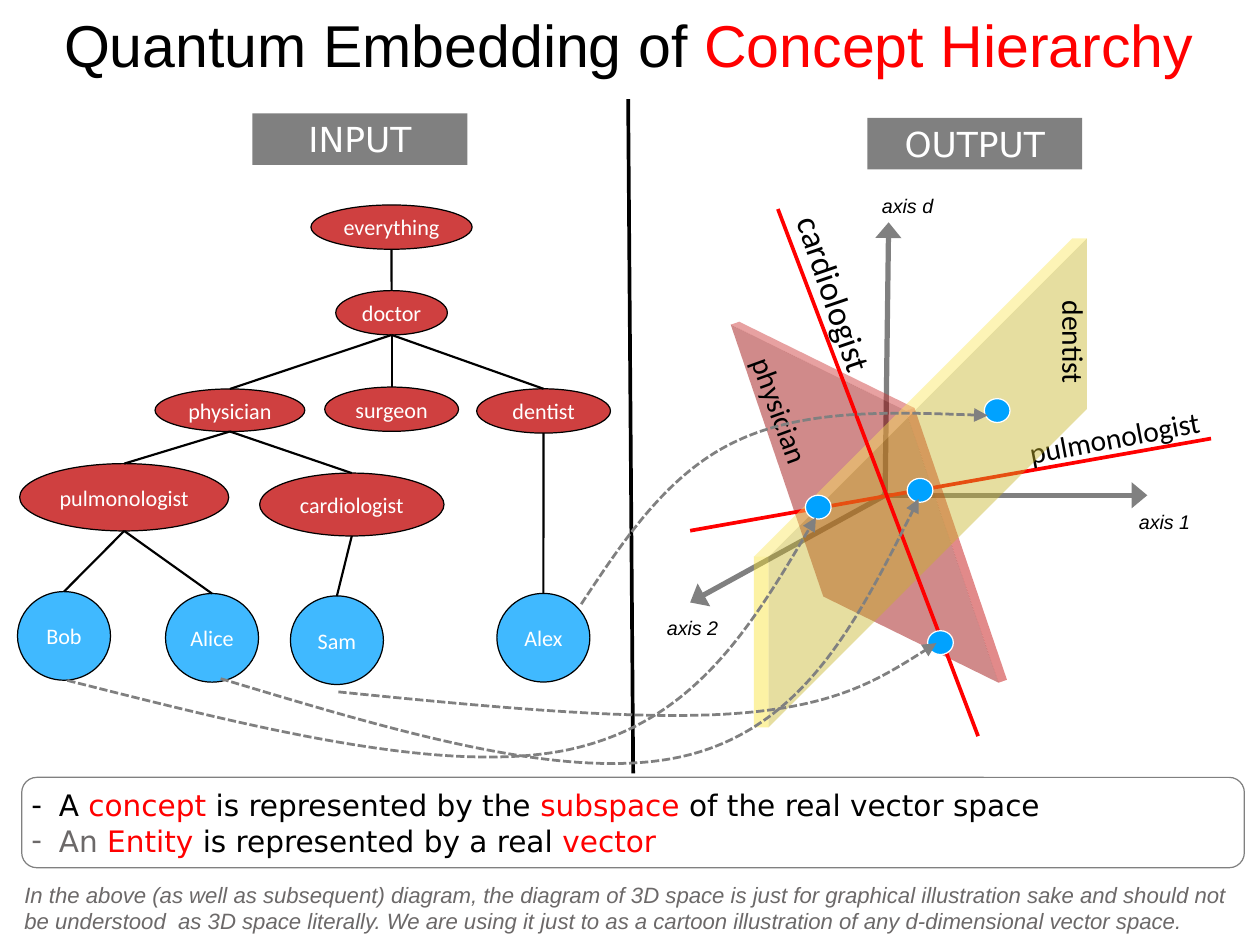
from dataclasses import dataclass
from typing import NamedTuple

from lxml import etree
from pptx import Presentation
from pptx.dml.color import RGBColor
from pptx.enum.dml import MSO_LINE
from pptx.enum.shapes import MSO_CONNECTOR, MSO_SHAPE
from pptx.enum.text import MSO_ANCHOR, MSO_AUTO_SIZE, PP_ALIGN
from pptx.oxml.ns import qn
from pptx.util import Pt

RECT, ROUND, OVAL = MSO_SHAPE.RECTANGLE, MSO_SHAPE.ROUNDED_RECTANGLE, MSO_SHAPE.OVAL
CUBE, DOT = MSO_SHAPE.CUBE, MSO_SHAPE.FLOWCHART_CONNECTOR
STRAIGHT, DASH = MSO_CONNECTOR.STRAIGHT, MSO_LINE.SQUARE_DOT
LEFT, MID = PP_ALIGN.LEFT, PP_ALIGN.CENTER
TOP, CENTER = MSO_ANCHOR.TOP, MSO_ANCHOR.MIDDLE
GROW, FIXED = MSO_AUTO_SIZE.SHAPE_TO_FIT_TEXT, MSO_AUTO_SIZE.NONE


@dataclass(frozen=True)
class Theme:
    black: str = "000000"
    white: str = "FFFFFF"
    gray: str = "808080"
    dim: str = "6C6969"
    red: str = "FF0000"
    wine: str = "C00000"
    blue: str = "00A2FF"
    gold: str = "FAE232"
    sans: str = "Arial"
    wide: str = "DejaVu Sans"
    body: str = "Calibri"
    title: float = 48
    head: float = 28
    large: float = 24
    node: float = 18
    axis: float = 16


T = Theme()


class Box(NamedTuple):
    x: float
    y: float
    w: float
    h: float


class Style(NamedTuple):
    font: str
    size: float
    color: str = T.black
    slant: bool = False
    align: PP_ALIGN = MID


class Node(NamedTuple):
    name: str
    box: Box
    root: str = ""
    color: str = T.wine


class Label(NamedTuple):
    text: str
    box: Box
    turn: float
    size: float = T.large


class Path(NamedTuple):
    """Centre of the entity dot, and the Bezier points leading to it."""
    dot: tuple
    points: list


NODES = [
    Node("everything", Box(252.7, 166.6, 131, 36)),
    Node("doctor", Box(272.9, 236.2, 90.7, 36), "everything"),
    Node("physician", Box(126, 316.1, 121.7, 34.6), "doctor"),
    Node("surgeon", Box(263.9, 314.6, 108.7, 36), "doctor"),
    Node("dentist", Box(387.4, 316, 108.7, 36), "doctor"),
    Node("pulmonologist", Box(16, 376.8, 169.9, 54.7), "physician"),
    Node("cardiologist", Box(211, 384.5, 149.8, 51.1), "physician"),
    Node("Bob", Box(14.2, 480.8, 75.6, 72), "pulmonologist", T.blue),
    Node("Alice", Box(134.5, 482.4, 75.6, 72), "pulmonologist", T.blue),
    Node("Sam", Box(236, 484.3, 75.6, 72), "cardiologist", T.blue),
    Node("Alex", Box(403.8, 482.3, 75.6, 72), "dentist", T.blue),
]
ORIGIN = (719.3, 402.5)
AXES = [
    ("axis 1", (932.4, 402.5), Box(901.4, 410.4, 90, 27.4)),
    ("axis d", (722.2, 180.7), Box(694.4, 153.4, 86.4, 27.4)),
    ("axis 2", (560.9, 489.6), Box(520.3, 496.2, 85, 27.4)),
]
PATHS = [
    Path((665, 412.2), [(54.7, 553), (208.1, 591.8), (361.4, 630.7), (463, 609.1),
                        (564.5, 586.8), (614.2, 503.3), (663.1, 420.5)]),
    Path((764.3, 522.3), [(275, 562.3), (397.4, 574.6), (519.8, 586.1), (601.2, 579.6),
                          (681.8, 573.1), (721.4, 547.9), (761, 522.7)]),
    Path((747.7, 398.5), [(179.3, 551.5), (322.6, 594.7), (465.1, 637.9), (560.2, 613.4),
                          (654.5, 589), (700.6, 497.5), (746.6, 405.4)]),
    Path((810.4, 333.7), [(472.3, 491), (507.6, 437.8), (542.9, 384.5), (598.3, 358.6),
                          (653, 332.6), (727.9, 334.8), (802.8, 337.7)]),
]
POINTS = [
    [("A ", T.black), ("concept ", T.red), ("is represented by the ", T.black),
     ("subspace ", T.red), ("of the real vector space", T.black)],
    [("An", T.dim), (" Entity", T.red), (" is represented by a real ", T.black),
     ("vector", T.red)],
]
NOTE = ("In the above (as well as subsequent) diagram, the diagram of 3D space is just for "
        "graphical illustration sake and should not be understood  as 3D space literally. "
        "We are using it just to as a cartoon illustration of any d-dimensional vector space.")


def place(box: Box) -> list:
    return [Pt(v) for v in box]


def add_run(para, text: str, style: Style, color: str = "") -> None:
    run = para.add_run()
    run.text = text
    run.font.name, run.font.size = style.font, Pt(style.size)
    run.font.italic = style.slant
    run.font.color.rgb = RGBColor.from_string(color or style.color)


def set_frame(frame, side: float = 4.3, edge: float = 4.3, anchor=CENTER, wrap=True, fit=GROW):
    frame.word_wrap, frame.auto_size, frame.vertical_anchor = wrap, fit, anchor
    frame.margin_left = frame.margin_right = Pt(side)
    frame.margin_top = frame.margin_bottom = Pt(edge)


def write(shape, text: str, style: Style) -> None:
    para = shape.text_frame.paragraphs[0]
    para.alignment = style.align
    add_run(para, text, style)


def set_line(line, color: str, width: float) -> None:
    line.color.rgb, line.width = RGBColor.from_string(color), Pt(width)


def add_head(shape, size: str) -> None:
    etree.SubElement(shape.line._get_or_add_ln(), qn("a:tailEnd"),
                     type="triangle", w="lg", len=size)


def add_form(slide, kind, box: Box, fill: str = "", alpha: int = 100,
             edge: str = "", width: float = 1):
    form = slide.shapes.add_shape(kind, *place(box))
    form.shadow.inherit = False
    if fill:
        form.fill.solid()
        form.fill.fore_color.rgb = RGBColor.from_string(fill)
        if alpha < 100:
            tint = form._element.spPr.find(qn("a:solidFill"))[0]
            etree.SubElement(tint, qn("a:alpha"), val=str(alpha * 1000))
    else:
        form.fill.background()
    if edge:
        set_line(form.line, edge, width)
    else:
        form.line.fill.background()
    return form


def add_line(slide, start: tuple, end: tuple, color: str, width: float):
    line = slide.shapes.add_connector(STRAIGHT, *[Pt(v) for v in start + end])
    set_line(line.line, color, width)
    etree.SubElement(line._element.spPr, qn("a:effectLst"))
    return line


def add_text(slide, box: Box, text: str, style: Style):
    shape = slide.shapes.add_textbox(*place(box))
    set_frame(shape.text_frame)
    write(shape, text, style)
    return shape


def add_label(slide, label: Label) -> None:
    shape = add_text(slide, label.box, label.text, Style(T.body, label.size, align=LEFT))
    set_frame(shape.text_frame, 7.2, 3.6, TOP, False)
    shape.rotation = label.turn


def add_head_box(slide, text: str, x: float, y: float) -> None:
    form = add_form(slide, RECT, Box(x, y, 174.7, 41.8), T.gray)
    set_frame(form.text_frame)
    write(form, text, Style(T.wide, T.head, T.white))


def add_tree(slide) -> None:
    boxes = {node.name: node.box for node in NODES}
    for node in NODES:
        form = add_form(slide, OVAL, node.box, node.color, 75, T.black)
        set_frame(form.text_frame, 0, 3.6, fit=FIXED)
        write(form, node.name, Style(T.body, T.node, T.white))
        if node.root:
            root, box = boxes[node.root], node.box
            line = add_line(slide, (root.x + root.w / 2, root.y + root.h),
                            (box.x + box.w / 2, box.y), T.black, 1.75)
            line.end_connect(form, 0)


def trace(points: list, steps: int = 30) -> list:
    """Sample a chain of cubic Bezier curves, to find its bounds."""
    out = [points[0]]
    for i in range(0, len(points) - 1, 3):
        for k in range(1, steps + 1):
            t = k / steps
            parts = ((1 - t) ** 3, 3 * t * (1 - t) ** 2, 3 * t * t * (1 - t), t ** 3)
            out.append(tuple(sum(m * p[j] for m, p in zip(parts, points[i:i + 4]))
                             for j in (0, 1)))
    return out


def add_curve(slide, points: list):
    spots = [(Pt(x), Pt(y)) for x, y in points]
    first, *rest = trace(spots)
    pen = slide.shapes.build_freeform(*first, scale=1.0)
    pen.add_line_segments(rest, close=False)
    curve = pen.convert_to_shape()
    route = curve._element.spPr.find(".//" + qn("a:path"))
    for step in route.findall(qn("a:lnTo")):
        route.remove(step)
    for i in range(1, len(spots), 3):
        bend = etree.SubElement(route, qn("a:cubicBezTo"))
        for x, y in spots[i:i + 3]:
            etree.SubElement(bend, qn("a:pt"), x=str(x - curve.left), y=str(y - curve.top))
    return curve


def add_path(slide, path: Path) -> None:
    x, y = path.dot
    add_form(slide, DOT, Box(x - 10.45, y - 9.7, 20.9, 19.4), T.blue, edge=T.white)
    curve = add_curve(slide, path.points)
    curve.shadow.inherit = False
    curve.fill.background()
    set_line(curve.line, T.gray, 2.25)
    curve.line.dash_style = DASH
    add_head(curve, "lg")


def add_space(slide) -> None:
    plane = add_form(slide, CUBE, Box(646.4, 235.4, 119.5, 345.6), T.wine, 46)
    plane.adjustments[0], plane.rotation = 0.939, 341.2
    plane._element.spPr.xfrm.set("flipH", "1")
    add_label(slide, Label("physician ", Box(579.8, 319, 111.6, 36.35), 70.1))
    add_line(slide, (560.9, 431.3), (984.2, 356.4), T.red, 3)
    add_label(slide, Label("pulmonologist", Box(828.6, 336.8, 156.2, 36.35), 349.3))
    plane = add_form(slide, CUBE, Box(612.7, 193.7, 270.7, 397.4), T.gold, 44)
    plane.adjustments[0] = 0.956
    add_label(slide, Label("dentist ", Box(828.4, 263.4, 88.6, 36.35), 90))
    add_line(slide, (794.9, 598.3), (632.2, 169.9), T.red, 3)
    add_label(slide, Label("cardiologist", Box(605, 219.3, 147.6, 41.2), 71.1, T.head))


def add_points(slide) -> None:
    frame = add_form(slide, ROUND, Box(17.7, 631.8, 993.6, 73.4), edge=T.gray).text_frame
    set_frame(frame)
    for i, runs in enumerate(POINTS):
        para = frame.add_paragraph() if i else frame.paragraphs[0]
        para.alignment = LEFT
        props = para._p.get_or_add_pPr()
        props.set("marL", str(Pt(22.3)))
        props.set("indent", str(-Pt(22.3)))
        etree.SubElement(props, qn("a:buFont"), typeface=T.wide)
        etree.SubElement(props, qn("a:buChar"), char="-")
        for text, color in runs:
            add_run(para, text, Style(T.wide, T.large), color)


def main() -> None:
    deck = Presentation()
    deck.slide_width, deck.slide_height = Pt(1024), Pt(768)
    slide = deck.slides.add_slide(deck.slide_layouts[5])
    for _, end, _ in AXES:
        add_head(add_line(slide, ORIGIN, end, T.gray, 4.25), "med")
    for text, _, box in AXES:
        add_text(slide, box, text, Style(T.sans, T.axis, slant=True))
    title = slide.shapes.title
    title.left, title.top, title.width, title.height = place(Box(-2, 0, 1026, 72))
    set_frame(title.text_frame, fit=FIXED)
    style = Style(T.sans, T.title)
    write(title, "Quantum Embedding of ", style)
    add_run(title.text_frame.paragraphs[0], "Concept Hierarchy", style, T.red)
    add_line(slide, (510.5, 80.6), (514.6, 628.6), T.black, 3)
    add_head_box(slide, "INPUT", 205.1, 92.2)
    add_tree(slide)
    add_head_box(slide, "OUTPUT", 704.8, 95.8)
    add_space(slide)
    add_points(slide)
    for path in PATHS:
        add_path(slide, path)
    add_text(slide, Box(15.5, 711.7, 993.6, 51.8), NOTE,
             Style(T.sans, T.node, T.dim, True, LEFT))
    deck.save("out.pptx")


if __name__ == "__main__":
    main()
